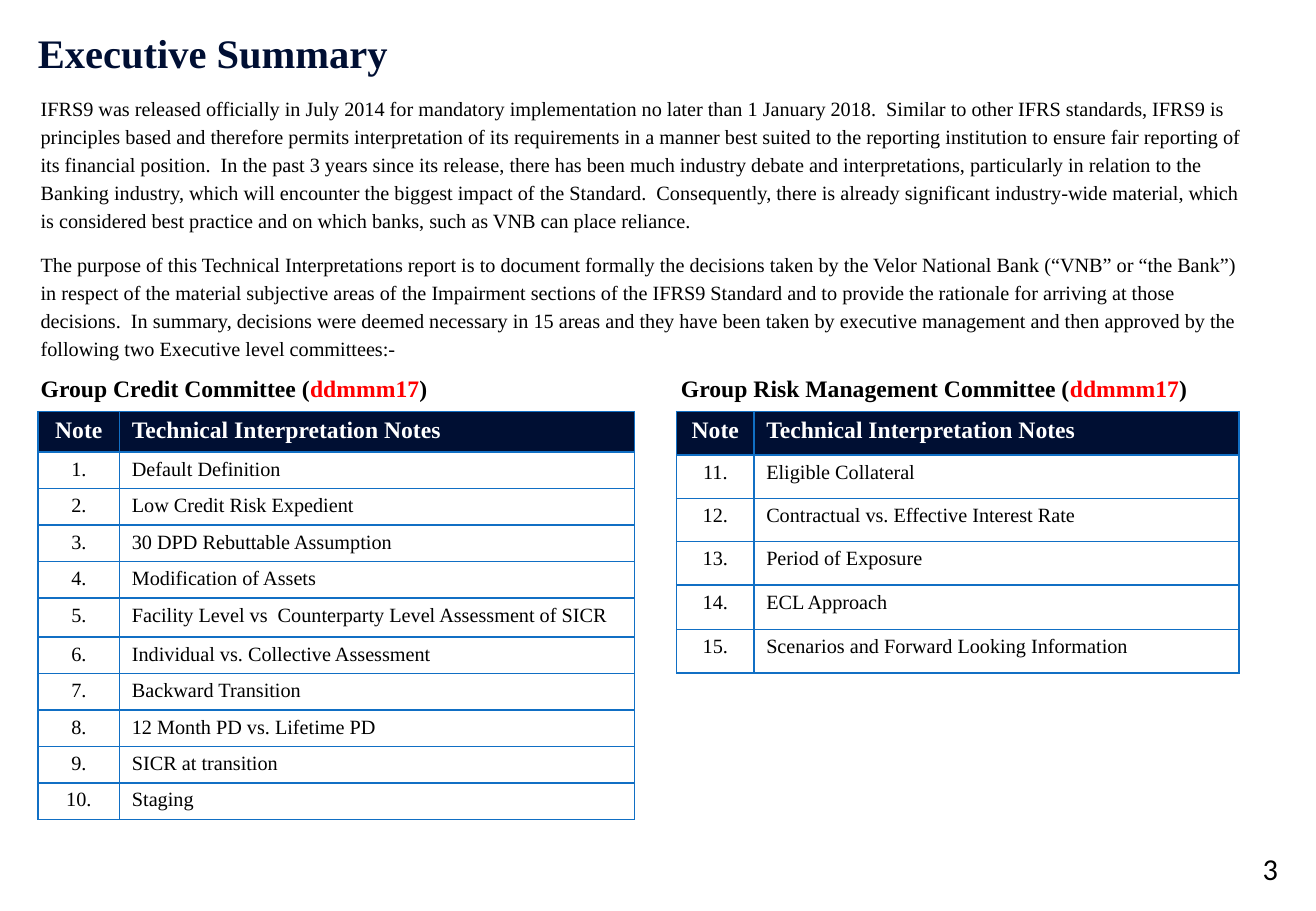
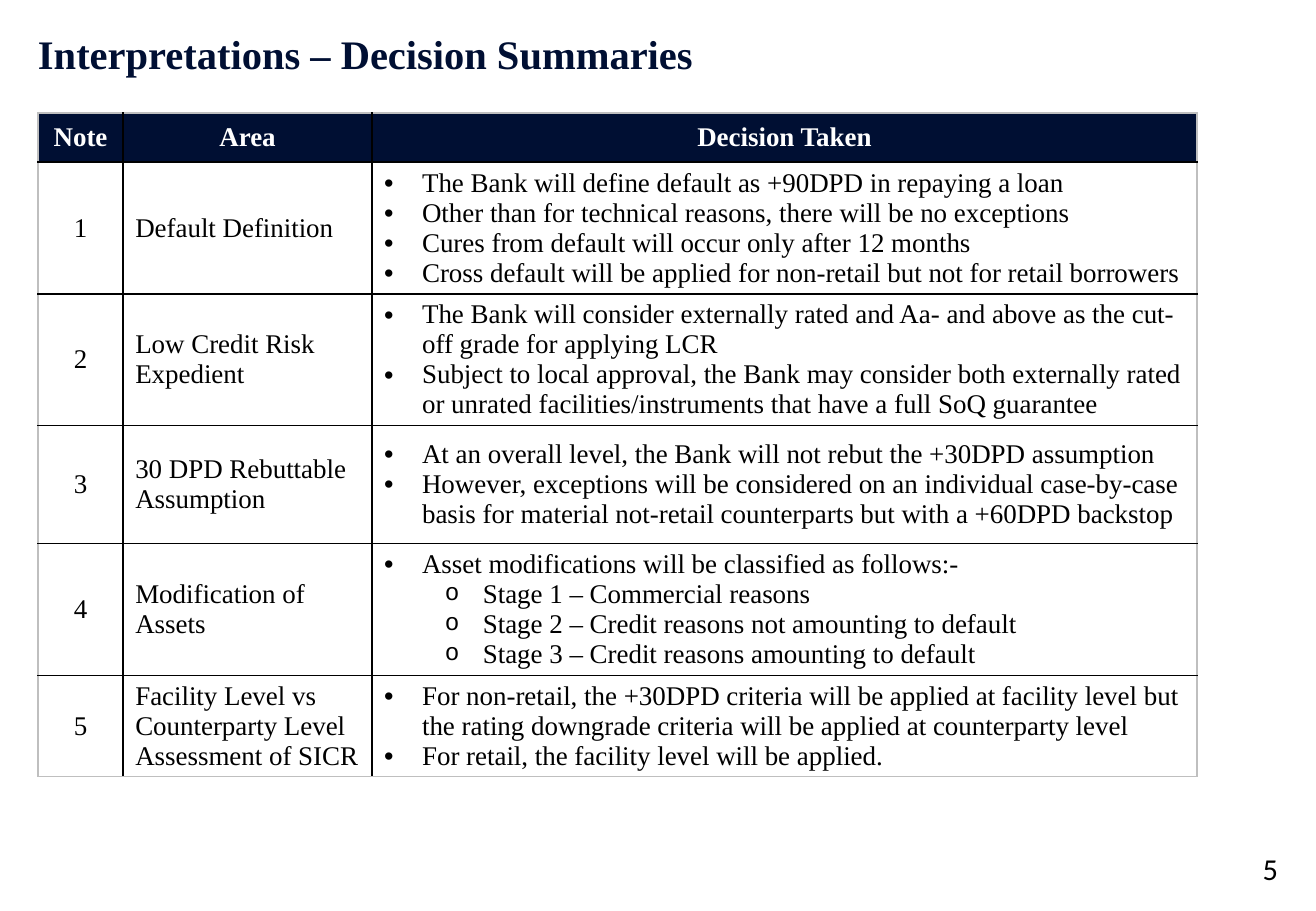
from lxml.etree import SubElement
from pptx import Presentation
from pptx.dml.color import RGBColor
from pptx.enum.text import MSO_ANCHOR as Anchor, MSO_AUTO_SIZE as AutoSize, PP_ALIGN as Align
from pptx.oxml.ns import qn
from pptx.util import Pt

NAVY, BLACK, WHITE, RED = "000F33", "000000", "FFFFFF", "FF0000"
BLUE, GREY = "116FC4", "BFBFBF"

CREDIT_NOTES = [
    "Default Definition",
    "Low Credit Risk Expedient",
    "30 DPD Rebuttable Assumption",
    "Modification of Assets",
    "Facility Level vs  Counterparty Level Assessment of SICR",
    "Individual vs. Collective Assessment",
    "Backward Transition",
    "12 Month PD vs. Lifetime PD",
    "SICR at transition",
    "Staging",
]
RISK_NOTES = [
    "Eligible Collateral",
    "Contractual vs. Effective Interest Rate",
    "Period of Exposure",
    "ECL Approach",
    "Scenarios and Forward Looking Information",
]
BACKGROUND = (
    "IFRS9 was released officially in July 2014 for mandatory implementation no later than "
    "1 January 2018.  Similar to other IFRS standards, IFRS9 is principles based and therefore "
    "permits interpretation of its requirements in a manner best suited to the reporting "
    "institution to ensure fair reporting of its financial position.  In the past 3 years since "
    "its release, there has been much industry debate and interpretations, particularly in "
    "relation to the Banking industry, which will encounter the biggest impact of the Standard.  "
    "Consequently, there is already significant industry-wide material, which is considered best "
    "practice and on which banks, such as VNB can place reliance."
)
PURPOSE = (
    "The purpose of this Technical Interpretations report is to document formally the decisions "
    "taken by the Velor National Bank (“VNB” or “the Bank”) in respect of the material subjective "
    "areas of the Impairment sections of the IFRS9 Standard and to provide the rationale for "
    "arriving at those decisions.  In summary, decisions were deemed necessary in 15 areas and "
    "they have been taken by executive management and then approved by the following two "
    "Executive level committees:-"
)
# Area, bullets, sub-bullets below the last bullet
DECISIONS = [
    ("Default Definition",
     ["The Bank will define default as +90DPD in repaying a loan",
      "Other than for technical reasons, there will be no exceptions",
      "Cures from default will occur only after 12 months",
      "Cross default will be applied for non-retail but not for retail borrowers"], []),
    ("Low Credit Risk Expedient",
     ["The Bank will consider externally rated and Aa- and above as the cut-off grade for "
      "applying LCR",
      "Subject to local approval, the Bank may consider both externally rated or unrated "
      "facilities/instruments that have a full SoQ guarantee"], []),
    ("30 DPD Rebuttable Assumption",
     ["At an overall level, the Bank will not rebut the +30DPD assumption",
      "However, exceptions will be considered on an individual case-by-case basis for material "
      "not-retail counterparts but with a +60DPD backstop"], []),
    ("Modification of Assets",
     ["Asset modifications will be classified as follows:-"],
     ["Stage 1 – Commercial reasons",
      "Stage 2 – Credit reasons not amounting to default",
      "Stage 3 – Credit reasons amounting to default"]),
    ("Facility Level vs  Counterparty Level Assessment of SICR",
     ["For non-retail, the +30DPD criteria will be applied at facility level but the rating "
      "downgrade criteria will be applied at counterparty level",
      "For retail, the facility level will be applied."], []),
]


def rgb(value):
    return RGBColor.from_string(value)


def style_runs(para, size, color, bold=False, font="Times New Roman"):
    for run in para.runs:
        run.font.size, run.font.bold, run.font.name = Pt(size), bold, font
        run.font.color.rgb = rgb(color)


def add_bullet(para, char, font, left, percent=100):
    """Give the paragraph a hanging bullet with its text at left points."""
    props = para._p.get_or_add_pPr()
    props.set("marL", str(Pt(left)))
    props.set("indent", str(-Pt(22.5)))
    SubElement(props, qn("a:buSzPct"), val=str(percent * 1000))
    SubElement(props, qn("a:buFont"), typeface=font)
    SubElement(props, qn("a:buChar"), char=char)


def add_border(cell, side, color):
    line = SubElement(cell._tc.get_or_add_tcPr(), qn(f"a:ln{side}"), w=str(Pt(1)))
    SubElement(SubElement(line, qn("a:solidFill")), qn("a:srgbClr"), val=color)


class ReportDeck:
    MARGIN = 22.5

    def __init__(self):
        self.deck = Presentation()
        self.deck.slide_width, self.deck.slide_height = Pt(780), Pt(540)
        self.page = None

    def add_page(self, title, number, top):
        self.page = self.deck.slides.add_slide(self.deck.slide_layouts[5])
        box = self.page.shapes.title
        box.left, box.top, box.width, box.height = Pt(self.MARGIN), Pt(top), Pt(734), Pt(36)
        frame = box.text_frame
        frame.text = title
        frame.auto_size, frame.vertical_anchor = AutoSize.NONE, Anchor.TOP
        frame.margin_left = frame.margin_right = frame.margin_top = frame.margin_bottom = 0
        para = frame.paragraphs[0]
        para.alignment, para.line_spacing = Align.LEFT, 0.9
        style_runs(para, 24, NAVY, bold=True)

        frame = self.add_box(723, 503, 34.5, 22.5)
        frame.margin_left = frame.margin_right = frame.margin_top = frame.margin_bottom = 0
        frame.vertical_anchor = Anchor.BOTTOM
        frame.text = str(number)
        frame.paragraphs[0].alignment = Align.RIGHT
        style_runs(frame.paragraphs[0], 18, BLACK, font="Calibri")

    def add_box(self, left, top, width, height):
        box = self.page.shapes.add_textbox(Pt(left), Pt(top), Pt(width), Pt(height))
        box.text_frame.word_wrap = True
        return box.text_frame

    def add_prose(self, top, width, height, text):
        frame = self.add_box(17, top, width, height)
        frame.text = text
        para = frame.paragraphs[0]
        para.line_spacing, para.space_after = 1.15, Pt(10)
        style_runs(para, 12, BLACK)

    def add_committee(self, left, name):
        """Add a committee heading with its date marked in red."""
        para = self.add_box(left, 218, 355, 24.5).paragraphs[0]
        for text in (f"{name} (", "ddmmm17", ")"):
            para.add_run().text = text
        style_runs(para, 14, BLACK, bold=True)
        para.runs[1].font.color.rgb = rgb(RED)

    def add_grid(self, left, top, widths, heights, inner, outer):
        """Add an empty table with white cells below a navy header."""
        last_row, last_column = len(heights) - 1, len(widths) - 1
        table = self.page.shapes.add_table(
            len(heights), len(widths), Pt(left), Pt(top), Pt(sum(widths)), Pt(sum(heights))).table
        for column, width in zip(table.columns, widths):
            column.width = Pt(width)
        for r, (row, height) in enumerate(zip(table.rows, heights)):
            row.height = Pt(height)
            for c, cell in enumerate(row.cells):
                edges = {"L": c == 0, "R": c == last_column, "T": r == 0, "B": r == last_row}
                for side, is_outer in edges.items():
                    add_border(cell, side, outer if is_outer else inner)
                cell.fill.solid()
                cell.fill.fore_color.rgb = rgb(WHITE if r else NAVY)
        return table

    def fill_cell(self, cell, text, size, centred, header=False):
        cell.text_frame.text = text
        para = cell.text_frame.paragraphs[0]
        para.alignment = Align.CENTER if centred else Align.LEFT
        style_runs(para, size, WHITE if header else BLACK, bold=header)

    def add_notes_table(self, left, widths, heights, notes, first):
        table = self.add_grid(left, 244, widths, heights, BLUE, BLUE)
        rows = [("Note", "Technical Interpretation Notes")]
        rows += [(f"{number}.", note) for number, note in enumerate(notes, first)]
        for r, texts in enumerate(rows):
            for c, text in enumerate(texts):
                self.fill_cell(table.cell(r, c), text, 12 if r else 14, c == 0, header=r == 0)

    def add_decisions_table(self):
        table = self.add_grid(self.MARGIN, 67, [50.5, 147.5, 489],
                              [29, 78.2, 78.2, 69.8, 78.2, 60], BLACK, GREY)
        for cell in table.iter_cells():
            cell.vertical_anchor = Anchor.MIDDLE
            cell.margin_top = cell.margin_bottom = Pt(0.5)
        for c, text in enumerate(("Note", "Area", "Decision Taken")):
            self.fill_cell(table.cell(0, c), text, 16, True, header=True)
        for r, (area, bullets, sub_bullets) in enumerate(DECISIONS, 1):
            self.fill_cell(table.cell(r, 0), str(r), 16, True)
            self.fill_cell(table.cell(r, 1), area, 16, False)
            frame = table.cell(r, 2).text_frame
            frame.text = "\n".join(bullets + sub_bullets)
            for index, para in enumerate(frame.paragraphs):
                if index < len(bullets):
                    add_bullet(para, "•", "Arial", 22.5)
                else:
                    para.level = 1
                    add_bullet(para, "o", "Courier New", 58.5, percent=90)
                style_runs(para, 16, BLACK)


def main():
    report = ReportDeck()

    report.add_page("Executive Summary", 3, top=20)
    report.add_prose(51.5, 734, 91, BACKGROUND)
    report.add_prose(144, 729.5, 74, PURPOSE)
    report.add_committee(17, "Group Credit Committee")
    report.add_committee(396.5, "Group Risk Management Committee")
    credit_heights = [23.5] + [21.6] * 4 + [23] + [21.6] * 5
    report.add_notes_table(report.MARGIN, [48.5, 305], credit_heights, CREDIT_NOTES, 1)
    risk_heights = [25.7] * 4 + [26.4, 25.7]
    report.add_notes_table(401, [46, 287.5], risk_heights, RISK_NOTES, 11)

    report.add_page("Interpretations – Decision Summaries", 5, top=20.5)
    report.add_decisions_table()

    report.deck.save("out.pptx")


if __name__ == "__main__":
    main()
